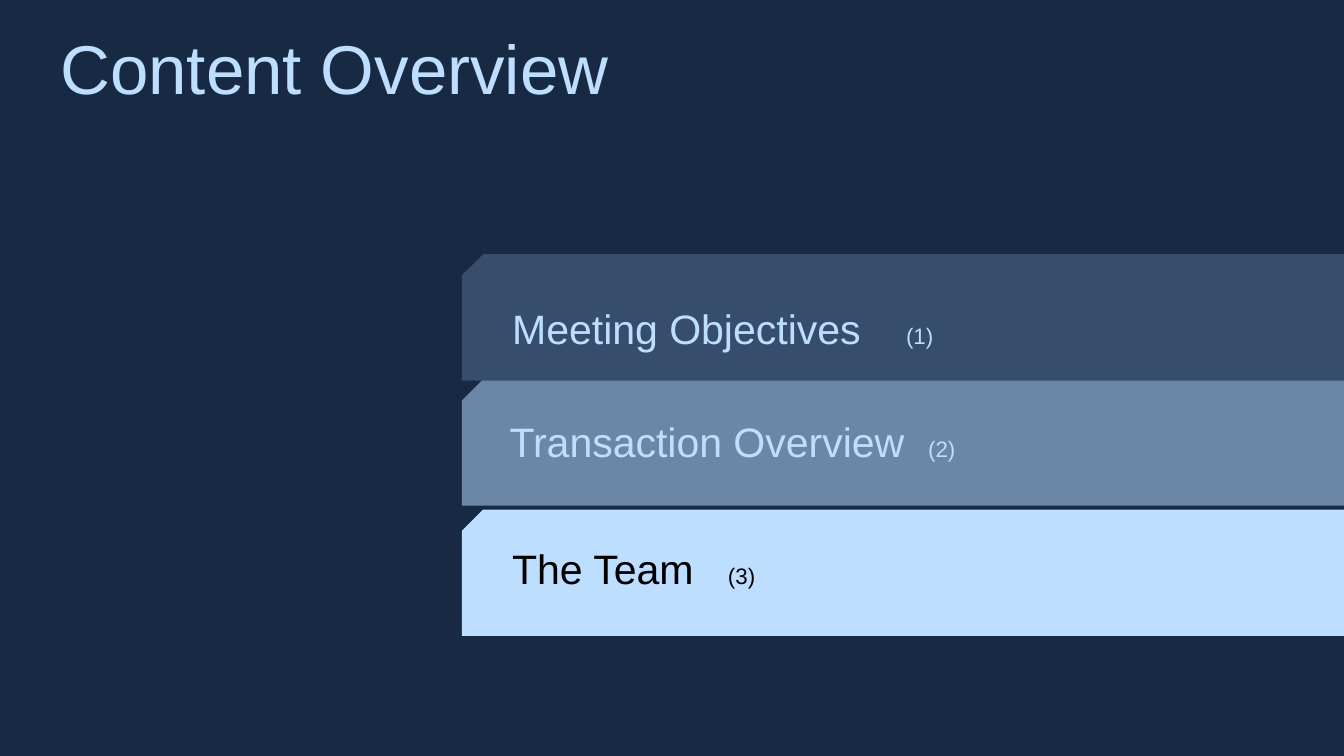
from lxml.etree import SubElement
from pptx import Presentation
from pptx.dml.color import RGBColor
from pptx.enum.shapes import MSO_SHAPE
from pptx.enum.text import MSO_ANCHOR, MSO_AUTO_SIZE, PP_ALIGN
from pptx.oxml.ns import qn
from pptx.util import Pt

COLORS = {
    "background": "182A43",
    "navy": "364D6C",
    "slate": "6C87A6",
    "ice": "BEDEFF",
    "black": "000000",
}
SLIDE_WIDTH, SLIDE_HEIGHT = 720, 405
BAND_LEFT, BAND_HEIGHT = 247.5, 67.75
LABEL_WIDTH, LABEL_HEIGHT = 445.7, 36

# band top, band colour
# The middle band comes first because the top band overlaps it.
BANDS = [(203.2, "slate"), (136.2, "navy"), (273, "ice")]

# heading, number, left, top, number offset, text colour, line spacing
LABELS = [
    ("Meeting Objectives", "(1)", 274.4, 155.6, 211, "ice", 1.15),
    ("Transaction Overview", "(2)", 273, 221, 224.2, "ice", 0.8),
    ("The Team", "(3)", 274.4, 288.8, 115.6, "black", 0.8),
]


def rgb(name):
    return RGBColor.from_string(COLORS[name])


def set_frame(frame, anchor):
    frame.word_wrap = True
    frame.auto_size = MSO_AUTO_SIZE.NONE
    frame.vertical_anchor = anchor
    frame.margin_left = frame.margin_top = frame.margin_bottom = 0
    frame.margin_right = Pt(7.2)


def style_paragraph(paragraph, color, spacing):
    paragraph.alignment = PP_ALIGN.LEFT
    paragraph.line_spacing = spacing
    paragraph.font.name = "Arial"
    paragraph.font.color.rgb = rgb(color)


def add_tab_stop(paragraph, offset):
    tab_list = SubElement(paragraph._p.get_or_add_pPr(), qn("a:tabLst"))
    SubElement(tab_list, qn("a:tab"), pos=str(int(Pt(offset))), algn="l")


def set_title(slide):
    title = slide.shapes.title
    title.left, title.top = Pt(32.4), Pt(22.3)
    title.width, title.height = Pt(398.9), Pt(36)
    frame = title.text_frame
    frame.text = "Content Overview"
    set_frame(frame, MSO_ANCHOR.TOP)
    heading = frame.paragraphs[0]
    style_paragraph(heading, "ice", 0.8)
    heading.font.size = Pt(37)


def add_band(slide, top, color):
    """Add a band with a snipped top-left corner, running to the slide edge."""
    band = slide.shapes.add_shape(
        MSO_SHAPE.SNIP_1_RECTANGLE, Pt(BAND_LEFT), Pt(top),
        Pt(SLIDE_WIDTH - BAND_LEFT), Pt(BAND_HEIGHT))
    band.adjustments[0] = 0.167
    band._element.spPr.xfrm.set("flipH", "1")
    band.shadow.inherit = False
    band.fill.solid()
    band.fill.fore_color.rgb = rgb(color)
    band.line.fill.background()


def add_label(slide, heading, number, left, top, offset, color, spacing):
    label = slide.shapes.add_textbox(
        Pt(left), Pt(top), Pt(LABEL_WIDTH), Pt(LABEL_HEIGHT))
    set_frame(label.text_frame, MSO_ANCHOR.MIDDLE)
    paragraph = label.text_frame.paragraphs[0]
    add_tab_stop(paragraph, offset)
    style_paragraph(paragraph, color, spacing)
    for text, size in ((heading + "\t", 22), (number, 12)):
        run = paragraph.add_run()
        run.text = text
        run.font.size = Pt(size)


def main():
    deck = Presentation()
    deck.slide_width, deck.slide_height = Pt(SLIDE_WIDTH), Pt(SLIDE_HEIGHT)
    slide = deck.slides.add_slide(deck.slide_layouts[5])
    slide.background.fill.solid()
    slide.background.fill.fore_color.rgb = rgb("background")
    set_title(slide)
    for band in BANDS:
        add_band(slide, *band)
    for label in LABELS:
        add_label(slide, *label)
    deck.save("out.pptx")


if __name__ == "__main__":
    main()
